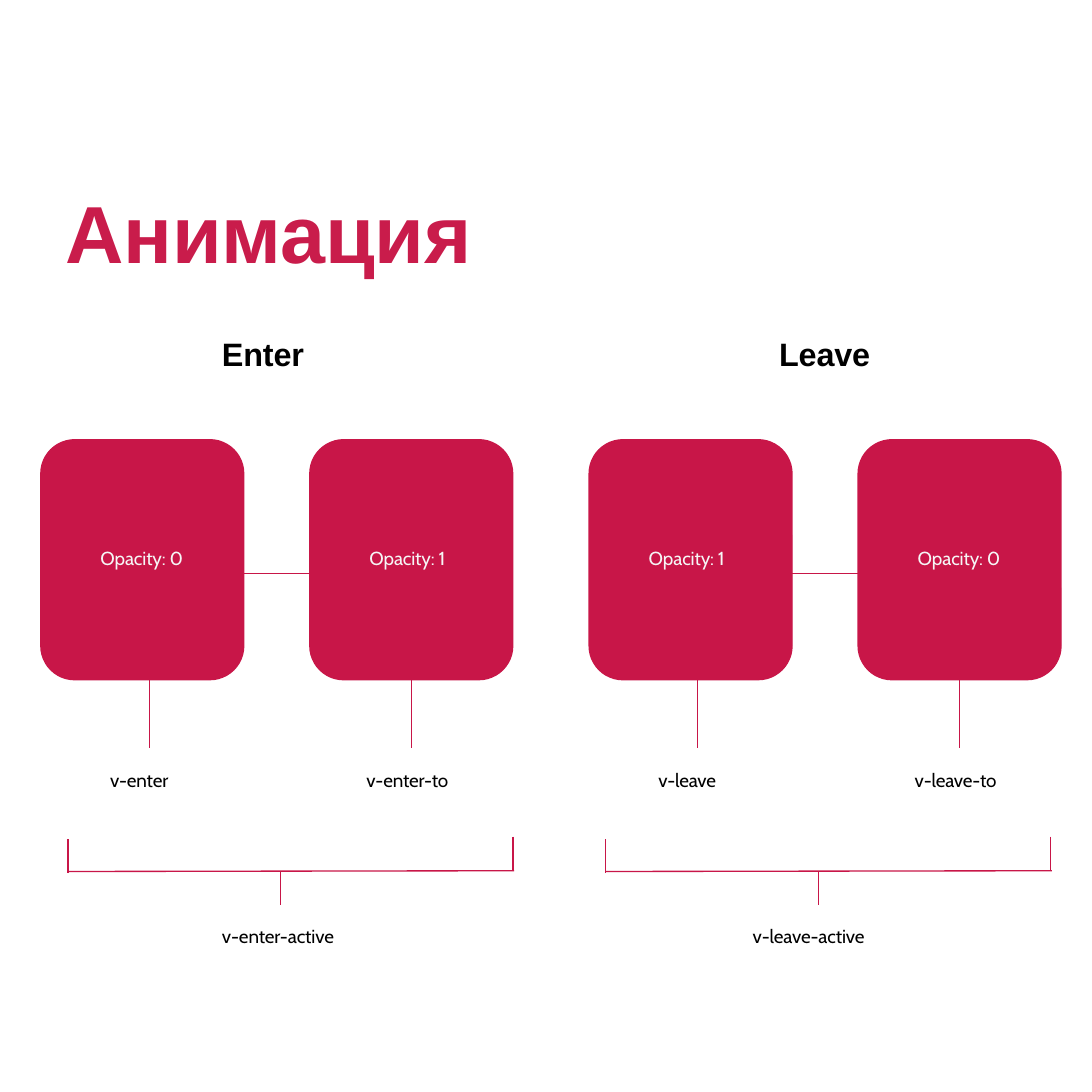
from dataclasses import dataclass

from lxml.etree import SubElement
from pptx import Presentation
from pptx.dml.color import RGBColor
from pptx.enum.shapes import MSO_SHAPE as Preset
from pptx.enum.text import MSO_ANCHOR as Anchor, MSO_AUTO_SIZE as AutoSize, PP_ALIGN as Align
from pptx.oxml.ns import qn
from pptx.util import Cm, Pt


@dataclass(frozen=True)
class Theme:
    crimson: RGBColor = RGBColor.from_string("C81648")
    title_red: RGBColor = RGBColor.from_string("C91C4B")
    pale: RGBColor = RGBColor.from_string("F6F6F6")
    black: RGBColor = RGBColor.from_string("000000")
    heading_font: str = "Arial"
    body_font: str = "Cabin"
    title_size: int = 60
    heading_size: int = 24
    body_size: int = 14


THEME = Theme()

# Lengths in centimetres
CARD_TOP, CARD_WIDTH, CARD_HEIGHT, CARD_PITCH = 11.51, 5.31, 6.28, 7.04
CARD_BOTTOM = CARD_TOP + CARD_HEIGHT
LABEL_HEIGHT = 0.66

# Each phase: left edges, whether link and legs are one outline,
# then (text, left, width) entries
PHASES = [
    dict(left=1.07, bracket=1.78, joined=False, heading=("Enter", 5.78, 2.24),
         states=("Opacity: 0", "Opacity: 1"),
         classes=[("v-enter", 2.85, 1.6), ("v-enter-to", 9.56, 2.18)],
         active=("v-enter-active", 5.78, 3.07)),
    dict(left=15.42, bracket=15.85, joined=True, heading=("Leave", 20.36, 2.46),
         states=("Opacity: 1", "Opacity: 0"),
         classes=[("v-leave", 17.2, 1.65), ("v-leave-to", 23.91, 2.24)],
         active=("v-leave-active", 19.67, 3.12)),
]


def write(shape, text, font=THEME.body_font, size=THEME.body_size, color=THEME.black,
          bold=False, tracking=-0.1, inset=0.03, bottom=0, anchor=Anchor.TOP):
    """Put one left-aligned line of text into a shape."""
    frame = shape.text_frame
    frame.word_wrap = True
    frame.auto_size = AutoSize.NONE
    frame.vertical_anchor = anchor
    frame.margin_left, frame.margin_top = Cm(inset), Cm(0.04)
    frame.margin_right, frame.margin_bottom = 0, Cm(bottom)
    para = frame.paragraphs[0]
    para.alignment = Align.LEFT
    span = para.add_run()
    span.text = text
    span.font.name, span.font.size, span.font.bold = font, Pt(size), bold
    span.font.color.rgb = color
    span._r.get_or_add_rPr().set("spc", str(round(tracking * 100)))


def add_label(page, text, left, top, width, height=LABEL_HEIGHT, **style):
    # A little spare width keeps each label on one line
    box = page.shapes.add_textbox(Cm(left), Cm(top), Cm(width + 0.1), Cm(height))
    write(box, text, **style)


def add_strokes(page, strokes):
    """Draw several separate straight strokes as one open outline."""
    x1, y1 = strokes[0][:2]
    outline = page.shapes.build_freeform(Cm(x1), Cm(y1))
    for index, (x1, y1, x2, y2) in enumerate(strokes):
        if index:
            outline.move_to(Cm(x1), Cm(y1))
        outline.add_line_segments([(Cm(x2), Cm(y2))], close=False)
    shape = outline.convert_to_shape()
    shape.shadow.inherit = False
    shape.fill.background()
    shape.line.color.rgb = THEME.crimson
    shape.line.width = Pt(1)


def add_card(page, left, text):
    card = page.shapes.add_shape(Preset.ROUNDED_RECTANGLE, Cm(left), Cm(CARD_TOP),
                                 Cm(CARD_WIDTH), Cm(CARD_HEIGHT))
    card.shadow.inherit = False
    card.fill.solid()
    card.fill.fore_color.rgb = THEME.crimson
    card.line.color.rgb = THEME.crimson
    card.line.width = Pt(1)
    write(card, text, color=THEME.pale, inset=1.3, bottom=0.12, anchor=Anchor.MIDDLE)


def add_bracket(page, left):
    bar, right, stem = 22.8, left + 11.65, left + 5.57
    add_strokes(page, [(right + 0.03, bar - 0.01, left, bar + 0.01),
                       (right, 21.9, right, bar + 0.01),
                       (left, 21.97, left, 22.86),
                       (stem, bar, stem, 23.69)])


def add_phase(page, phase):
    left = phase["left"]
    # Heading
    text, x, width = phase["heading"]
    add_label(page, text, x, 8.71, width, 1.09, font=THEME.heading_font,
              size=THEME.heading_size, bold=True)
    # Cards
    for index, state in enumerate(phase["states"]):
        add_card(page, left + index * CARD_PITCH, state)
    # Link between the cards, and the legs below them
    link = [(left + CARD_WIDTH, 15.01, left + 7.24, 15.01)]
    legs = [(left + leg, CARD_BOTTOM, left + leg, 19.59) for leg in (2.84, 9.7)]
    for strokes in [link + legs] if phase["joined"] else [link, legs]:
        add_strokes(page, strokes)
    # Class names and bracket
    for text, x, width in phase["classes"]:
        add_label(page, text, x, 20.08, width, tracking=-0.15)
    add_bracket(page, phase["bracket"])
    text, x, width = phase["active"]
    add_label(page, text, x, 24.16, width, tracking=-0.12)


def add_title(page, text):
    title = page.shapes.title
    title.left, title.top, title.width, title.height = Cm(1.68), Cm(4.75), Cm(10.9), Cm(2.62)
    write(title, text, font=THEME.heading_font, size=THEME.title_size,
          color=THEME.title_red, bold=True)


def main():
    deck = Presentation()
    deck.slide_width = deck.slide_height = Cm(28.58)
    page = deck.slides.add_slide(deck.slide_layouts.get_by_name("Title Only"))
    add_title(page, "Анимация")
    for phase in PHASES:
        add_phase(page, phase)
    deck.save("out.pptx")


if __name__ == "__main__":
    main()
